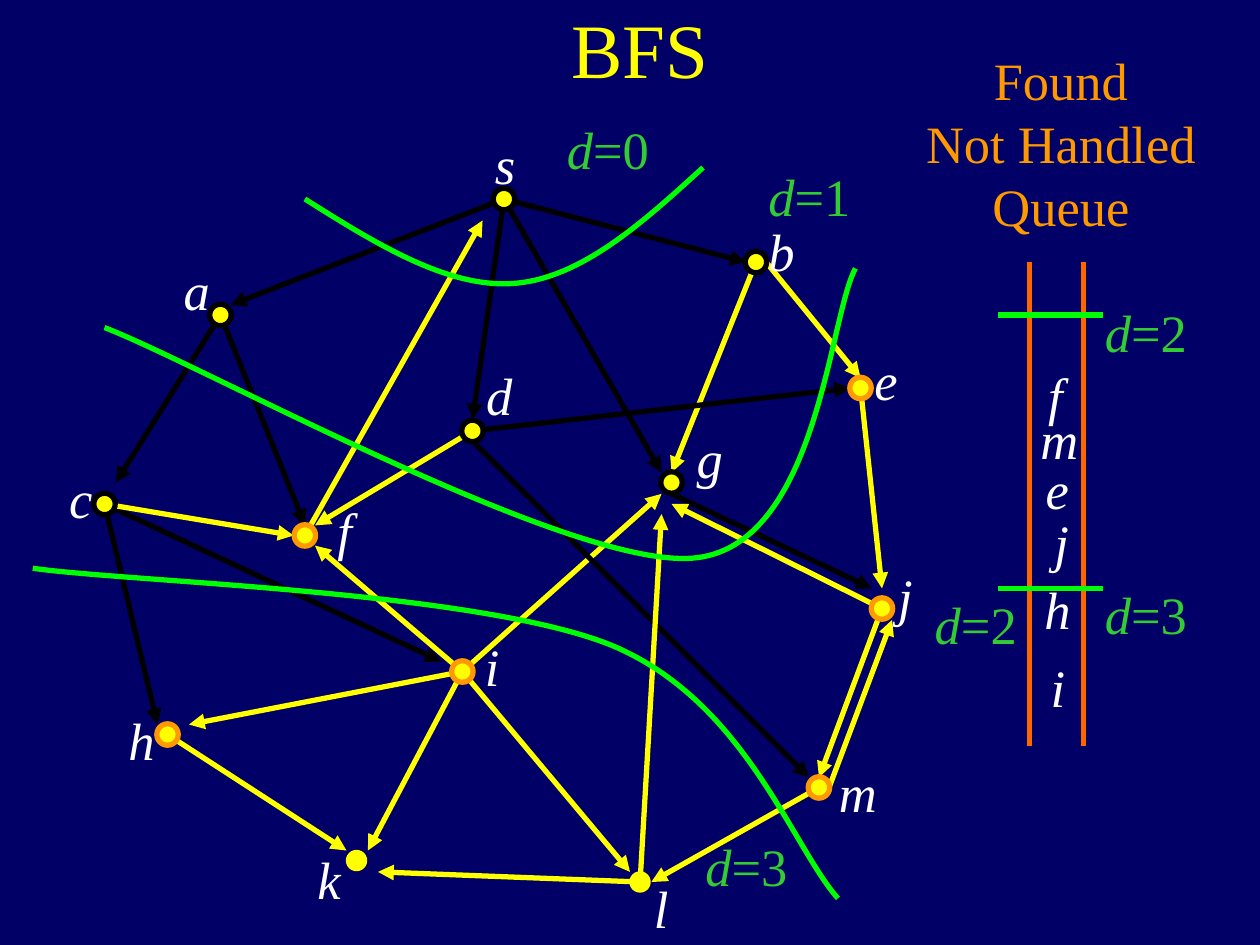
from dataclasses import dataclass

from lxml import etree
from pptx import Presentation
from pptx.dml.color import RGBColor
from pptx.enum.shapes import MSO_CONNECTOR, MSO_SHAPE
from pptx.enum.text import MSO_ANCHOR, PP_ALIGN
from pptx.oxml.ns import qn
from pptx.util import Inches, Pt

STRAIGHT = MSO_CONNECTOR.STRAIGHT
OVAL = MSO_SHAPE.OVAL
TOP, MIDDLE = MSO_ANCHOR.TOP, MSO_ANCHOR.MIDDLE
LEFT, CENTER = PP_ALIGN.LEFT, PP_ALIGN.CENTER


@dataclass(frozen=True)
class Theme:
    font: str = "Times New Roman"
    title_size: Pt = Pt(44)
    label_size: Pt = Pt(30)
    stroke: Pt = Pt(3)
    background: RGBColor = RGBColor(0x00, 0x00, 0x66)
    yellow: RGBColor = RGBColor(0xFF, 0xFF, 0x00)
    black: RGBColor = RGBColor(0x00, 0x00, 0x00)
    white: RGBColor = RGBColor(0xFF, 0xFF, 0xFF)
    orange: RGBColor = RGBColor(0xFF, 0x99, 0x00)
    rail: RGBColor = RGBColor(0xFF, 0x66, 0x00)
    frontier: RGBColor = RGBColor(0x00, 0xFF, 0x00)
    distance: RGBColor = RGBColor(0x33, 0xCC, 0x33)


theme = Theme()
deck = Presentation()
deck.slide_width, deck.slide_height = Inches(10), Inches(7.5)
page = deck.slides.add_slide(deck.slide_layouts[6])
page.background.fill.solid()
page.background.fill.fore_color.rgb = theme.background


def add_text(text, left, top, width, height, color, size=theme.label_size,
             align=LEFT, anchor=TOP, wrap=False):
    box = page.shapes.add_textbox(Inches(left), Inches(top), Inches(width), Inches(height))
    box.text_frame.word_wrap = wrap
    box.text_frame.vertical_anchor = anchor
    para = box.text_frame.paragraphs[0]
    para.text = text
    para.alignment = align
    para.font.name, para.font.size = theme.font, size
    para.font.color.rgb = color
    return para


def add_line(start, end, color, arrow=False):
    line = page.shapes.add_connector(STRAIGHT, *map(Inches, (*start, *end)))
    line.line.color.rgb = color
    line.line.width = theme.stroke
    properties = line._element.spPr
    if arrow:
        etree.SubElement(properties.find(qn("a:ln")), qn("a:tailEnd"), type="triangle")
    etree.SubElement(properties, qn("a:effectLst"))


add_text("BFS", 0.83, -0.25, 8.5, 1.25, theme.yellow, theme.title_size, CENTER, MIDDLE, True)
add_text("Found\vNot Handled\vQueue", 7.25, 0.33, 2.34, 1.6, theme.orange, align=CENTER)

# Edges: a start is a node's centre, or a point beside it
nodes = {
    "s": (4, 1.58), "a": (1.75, 2.5), "d": (3.75, 3.42), "b": (6, 2.08),
    "c": (0.83, 4), "f": (2.42, 4.25), "e": (6.83, 3.08), "m": (6.5, 6.25),
    "j": (7, 4.83), "h": (1.33, 5.83), "i": (3.67, 5.33),
    "g": (5.33, 3.83), "k": (2.83, 6.83), "l": (5.08, 7),
}
edges = [
    ("s", (1.83, 2.42), theme.black), ("s", (3.75, 3.33), theme.black),
    ("s", (5.25, 3.75), theme.black), ("s", (5.92, 2.08), theme.black),
    ("b", (5.33, 3.75), theme.yellow), ("i", (5.25, 3.92), theme.yellow),
    ("d", (6.75, 3.08), theme.black), ((6.08, 2.08), (6.83, 3), theme.yellow),
    ((5.33, 3.92), (6.92, 4.67), theme.black), ("e", (7, 4.67), theme.yellow),
    ((3.75, 3.5), (6.42, 6.17), theme.black), ("d", (2.5, 4.17), theme.yellow),
    ("a", (2.42, 4.17), theme.black), ("a", (0.92, 3.83), theme.black),
    ("c", (3.5, 5.25), theme.black), ("i", (2.92, 6.75), theme.yellow),
    ("i", (5, 6.92), theme.yellow), ("i", (1.5, 5.75), theme.yellow),
    ("m", (5.17, 7), theme.yellow), ((6.58, 6.25), (7.08, 4.92), theme.yellow),
    ("j", (5.33, 4), theme.yellow), ("i", (2.5, 4.33), theme.yellow),
    ("j", (6.5, 6.17), theme.yellow), ("l", (5.25, 4.08), theme.yellow),
    ("l", (3, 6.92), theme.yellow), ("f", (3.83, 1.75), theme.yellow),
    ("h", (2.75, 6.75), theme.yellow), ("c", (1.25, 5.75), theme.black),
    ("c", (2.33, 4.25), theme.yellow),
]
for start, end, color in edges:
    add_line(nodes.get(start, start), end, color, arrow=True)

# Nodes: black ring when handled, orange when queued, none when not found
diameter = 0.17
for name, (x, y) in nodes.items():
    dot = page.shapes.add_shape(OVAL, Inches(x - diameter / 2), Inches(y - diameter / 2),
                                Inches(diameter), Inches(diameter))
    dot.shadow.inherit = False
    dot.fill.solid()
    dot.fill.fore_color.rgb = theme.yellow
    if name in "kl":
        dot.line.fill.background()
    else:
        dot.line.color.rgb = theme.black if name in "sabcdg" else theme.orange
        dot.line.width = theme.stroke

# Letters beside the nodes, then those waiting in the queue
letter_widths = {"s": 0.36, "c": 0.38, "k": 0.38, "e": 0.38, "m": 0.5,
                 "f": 0.31, "i": 0.31, "l": 0.31, "j": 0.31}
letters = [
    ("s", 3.83, 1), ("a", 1.36, 2), ("c", 0.45, 3.65), ("h", 0.92, 5.57),
    ("k", 2.42, 6.67), ("f", 2.58, 3.9), ("i", 3.75, 4.98), ("l", 5.09, 6.9),
    ("m", 6.56, 5.98), ("j", 7.03, 4.43), ("e", 6.84, 2.71), ("b", 6, 1.69),
    ("g", 5.43, 3.33), ("d", 3.76, 2.83),
    ("f", 8.22, 2.83), ("m", 8.16, 3.18), ("e", 8.2, 3.58), ("j", 8.27, 4),
    ("h", 8.19, 4.53), ("i", 8.24, 5.15),
]
for letter, left, top in letters:
    para = add_text(letter, left, top, letter_widths.get(letter, 0.41), 0.6, theme.white)
    para.font.italic = True

# Queue rails and the bars that part its distances
for x in (8.17, 8.6):
    add_line((x, 2.08), (x, 5.92), theme.rail)
for y in (2.5, 4.67):
    add_line((7.92, y), (8.75, y), theme.frontier)

# Frontier curves: a start, then three points for each Bezier segment
frontiers = [
    [(2.42, 1.58), (2.99, 1.94), (3.56, 2.29), (4.08, 2.25),
     (4.61, 2.21), (5.1, 1.77), (5.58, 1.33)],
    [(0.83, 2.6), (1.61, 2.9), (4.51, 4.51), (5.5, 4.43),
     (6.49, 4.35), (6.58, 2.51), (6.79, 2.13)],
    [(0.26, 4.51), (1.03, 4.62), (3.78, 4.69), (4.85, 5.12),
     (5.91, 5.56), (6.28, 6.71), (6.65, 7.13)],
]
for points in frontiers:
    builder = page.shapes.build_freeform(*points[0], scale=Inches(1) / 1.0)
    builder = page.shapes.build_freeform(*map(Inches, points[0]))
    builder.add_line_segments([tuple(map(Inches, point)) for point in points[1:]], close=False)
    curve = builder.convert_to_shape()
    curve.shadow.inherit = False
    curve.fill.background()
    curve.line.color.rgb = theme.frontier
    curve.line.width = theme.stroke
    path = curve._element.spPr.find(".//" + qn("a:path"))
    steps = path.findall(qn("a:lnTo"))
    for first in range(0, len(steps), 3):
        bezier = etree.SubElement(path, qn("a:cubicBezTo"))
        for step in steps[first:first + 3]:
            bezier.append(step[0])
            path.remove(step)

distances = [(0, 4.4, 0.88), (1, 6, 1.25), (2, 7.32, 4.65), (3, 5.5, 6.57),
             (2, 8.67, 2.33), (3, 8.67, 4.57)]
for distance, left, top in distances:
    para = add_text("d", left, top, 0.85, 0.6, theme.distance)
    para.runs[0].font.italic = True
    para.add_run().text = f"={distance}"

deck.save("out.pptx")
